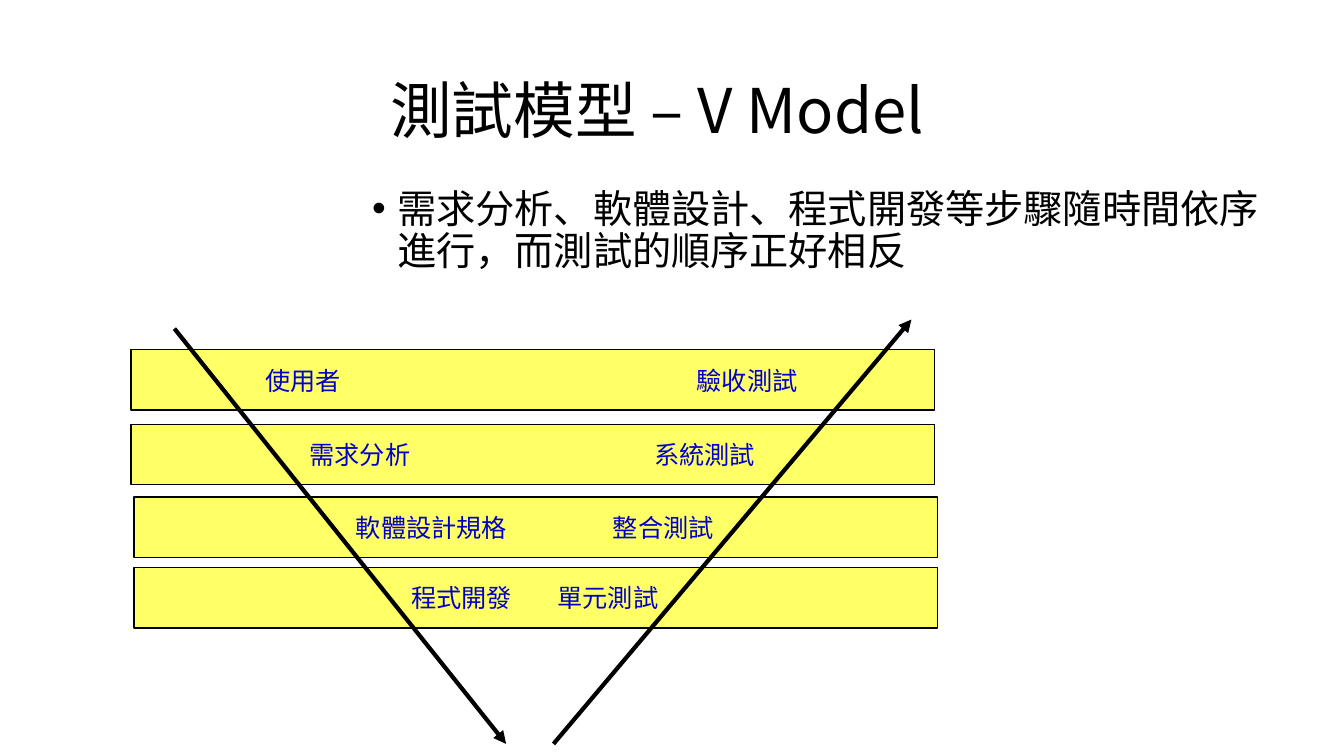
from dataclasses import dataclass

from pptx import Presentation
from pptx.dml.color import RGBColor
from pptx.enum.shapes import MSO_CONNECTOR, MSO_SHAPE
from pptx.enum.text import MSO_ANCHOR, MSO_AUTO_SIZE, PP_ALIGN
from pptx.oxml.ns import qn
from pptx.util import Emu, Pt
from lxml.etree import SubElement


@dataclass(frozen=True)
class Theme:
    """Colours, font and type sizes."""
    face: str = "Noto Sans CJK SC"
    ink: RGBColor = RGBColor(0, 0, 0)
    label: RGBColor = RGBColor(0, 0, 0xCC)
    bar: RGBColor = RGBColor(0xFF, 0xFF, 0x66)
    title: int = 44
    body: int = 28
    small: int = 18


THEME = Theme()
SCALE = 9144
STAGES = [
    ("使用者", "驗收測試", 0, 0, 133, 561),
    ("需求分析", "系統測試", 0, 74, 177, 519),
    ("軟體設計規格", "整合測試", 3, 146, 223, 478),
    ("程式開發", "單元測試", 3, 216, 278, 423),
]
ARROWS = [((43, -21), (372, 391)), ((419, 391), (774, -30))]


def px(count):
    """Turn px into EMU, at 100 px to the inch."""
    return Emu(count * SCALE)


def apply(item, **values):
    """Set each named attribute on the item."""
    for name, value in values.items():
        setattr(item, name, value)


def place(shape, box):
    """Move a shape to a box of left, top, width and height."""
    names = ("left", "top", "width", "height")
    apply(shape, **dict(zip(names, map(px, box))))


def write(shape, text, size, color, anchor, spacing=1.0):
    """Fill a shape with one formatted paragraph and return it."""
    frame = shape.text_frame
    apply(frame, word_wrap=True, auto_size=MSO_AUTO_SIZE.NONE, vertical_anchor=anchor)
    para = frame.paragraphs[0]
    run = para.add_run()
    run.text = text
    apply(para, alignment=PP_ALIGN.LEFT, line_spacing=spacing, space_before=Pt(0))
    apply(run.font, name=THEME.face, size=Pt(size))
    run.font.color.rgb = color
    SubElement(run.font._element, qn("a:ea"), typeface=THEME.face)
    return para


def head(slide, box):
    """Write the slide title."""
    place(slide.shapes.title, box)
    write(slide.shapes.title, "測試模型 – V Model", THEME.title, THEME.ink,
          MSO_ANCHOR.MIDDLE, 0.9)


def points(slide, box):
    """Write the bulleted text."""
    body = slide.placeholders[1]
    place(body, box)
    para = write(body, "需求分析、軟體設計、程式開發等步驟隨時間依序進行，而測試的順序正好相反",
                 THEME.body, THEME.ink, MSO_ANCHOR.TOP, 0.9)
    props = para._p.get_or_add_pPr()
    props.set("marL", str(px(25)))
    props.set("indent", str(px(-25)))
    SubElement(props, qn("a:buFont"), typeface="Arial")
    SubElement(props, qn("a:buChar"), char="•")


def stage(slide, box, pair, first, second):
    """Draw a bar whose two labels start at the given offsets."""
    bar = slide.shapes.add_shape(MSO_SHAPE.RECTANGLE, *map(px, box))
    bar.shadow.inherit = False
    bar.fill.solid()
    bar.fill.fore_color.rgb = THEME.bar
    bar.line.color.rgb = THEME.ink
    bar.line.width = Pt(1)
    para = write(bar, "\t".join(pair), THEME.small, THEME.label, MSO_ANCHOR.MIDDLE)
    apply(bar.text_frame, margin_left=px(first), margin_right=px(16),
          margin_top=px(8), margin_bottom=px(8))
    tabs = SubElement(para._p.get_or_add_pPr(), qn("a:tabLst"))
    SubElement(tabs, qn("a:tab"), pos=str(px(second - first)), algn="l")


def arrow(slide, start, end):
    """Draw a thick line with an arrowhead at its end."""
    line = slide.shapes.add_connector(MSO_CONNECTOR.STRAIGHT, *map(px, start + end))
    line.line.color.rgb = THEME.ink
    line.line.width = Pt(3)
    SubElement(line.line._get_or_add_ln(), qn("a:tailEnd"), type="triangle")
    SubElement(line._element.spPr, qn("a:effectLst"))


def model(slide, box):
    """Draw the V of stages and arrows inside a box."""
    left, top, width, _ = box
    for plan, test, x, y, first, second in STAGES:
        stage(slide, (left + x, top + y, width, 60), (plan, test), first - x, second - x)
    for ends in ARROWS:
        arrow(slide, *((left + x, top + y) for x, y in ends))


def main():
    """Build and save the slide."""
    deck = Presentation()
    apply(deck, slide_width=px(1333), slide_height=px(750))
    slide = deck.slides.add_slide(deck.slide_layouts[1])
    head(slide, (377, 40, 864, 145))
    points(slide, (359, 183, 912, 147))
    model(slide, (130, 347, 797, 391))
    deck.save("out.pptx")


if __name__ == "__main__":
    main()
